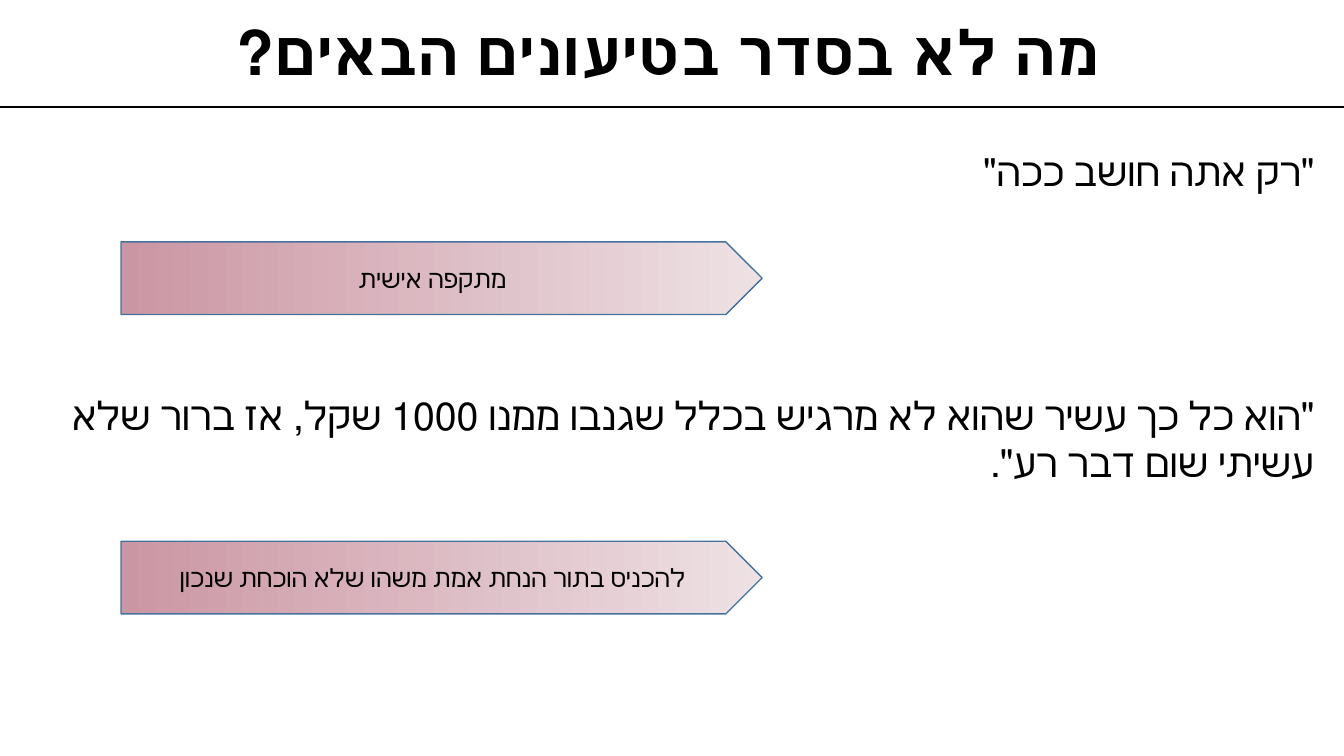
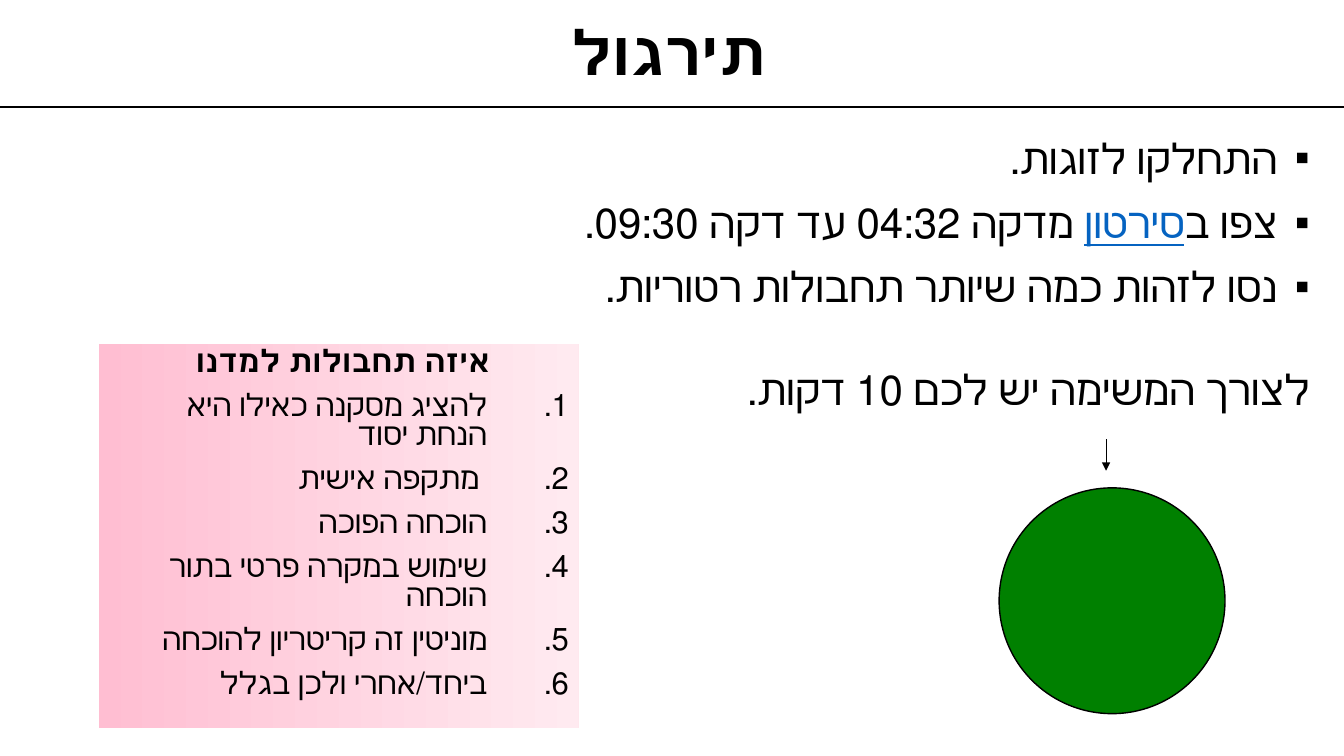
"""Build two Hebrew slides on faulty arguments: examples and an exercise."""
from lxml.etree import SubElement
from pptx import Presentation
from pptx.dml.color import RGBColor
from pptx.enum.shapes import MSO_CONNECTOR, MSO_SHAPE
from pptx.enum.text import MSO_ANCHOR, MSO_AUTO_SIZE, PP_ALIGN
from pptx.oxml.ns import qn
from pptx.util import Inches, Pt

BLACK = RGBColor(0x00, 0x00, 0x00)
LINK = RGBColor(0x05, 0x63, 0xC1)
GREEN = RGBColor(0x00, 0x80, 0x00)
EDGE = RGBColor(0x43, 0x73, 0x9E)
ROSE = RGBColor(0xCB, 0x96, 0xA4), RGBColor(0xEE, 0xE1, 0xE4)
PINK = RGBColor(0xFF, 0xBE, 0xD2), RGBColor(0xFF, 0xEA, 0xF0)
FONT = "Lato"


def write(frame, text, size=30, bold=False, align=PP_ALIGN.RIGHT, before=10,
          spacing=None, indent=0, bullet=None):
    """Add a right-to-left paragraph; every second part between bars is link-styled."""
    para = frame.paragraphs[-1]
    if para.runs:
        para = frame.add_paragraph()
    para.alignment = align
    para.space_before = Pt(before)
    para.line_spacing = spacing
    props = para._p.get_or_add_pPr()
    props.set("rtl", "1")
    if bullet:
        props.set("marL", str(Inches(indent)))
        props.set("indent", str(-Inches(indent)))
        SubElement(props, qn("a:buFont"), typeface="Arial")
        if bullet == "1.":
            SubElement(props, qn("a:buAutoNum"), type="arabicPeriod")
        else:
            SubElement(props, qn("a:buChar"), char=bullet)
    for index, part in enumerate(text.split("|")):
        run = para.add_run()
        run.text = part
        font = run.font
        font.size, font.bold, font.name = Pt(size), bold, FONT
        font.color.rgb = BLACK
        if index % 2:
            font.color.rgb = LINK
            font.underline = True


def style(shape, fill=None, line=None, width=1):
    """Set a shape's fill (one colour or a gradient pair) and outline."""
    if isinstance(fill, RGBColor):
        shape.fill.solid()
        shape.fill.fore_color.rgb = fill
    elif fill:
        shape.fill.gradient()
        shape.fill.gradient_angle = 0
        for stop, color in zip(shape.fill.gradient_stops, fill):
            stop.color.rgb = color
    if line is None:
        shape.line.fill.background()
    else:
        shape.line.color.rgb = line
        shape.line.width = Pt(width)
    SubElement(shape._element.spPr, qn("a:effectLst"))


deck = Presentation()
deck.slide_width, deck.slide_height = Inches(13.33), Inches(7.5)
master = deck.slide_master
head = master.placeholders[0]
head.left, head.top = Inches(0), Inches(0.04)
head.width, head.height = Inches(13.26), Inches(1.02)

slides = []
for title, layout in (("מה לא בסדר בטיעונים הבאים?", 5), ("תירגול", 1)):
    slide = deck.slides.add_slide(deck.slide_layouts[layout])
    frame = slide.shapes.title.text_frame
    frame.auto_size = MSO_AUTO_SIZE.NONE
    frame.vertical_anchor = MSO_ANCHOR.MIDDLE
    write(frame, title, size=44, bold=True, align=PP_ALIGN.CENTER, before=0, spacing=0.9)
    slides.append(slide)
claims, task = slides

rule = claims.shapes.add_connector(
    MSO_CONNECTOR.STRAIGHT, Inches(-0.05), Inches(1.06), Inches(13.38), Inches(1.06))
style(rule, line=BLACK)
rule._element.nvCxnSpPr.cNvPr.id = 20
master.shapes.element.append(rule._element)

quotes = claims.shapes.add_textbox(
    Inches(0.21), Inches(1.41), Inches(12.92), Inches(5.4)).text_frame
quotes.word_wrap = True
write(quotes, '"רק אתה חושב ככה" ', size=28)
write(quotes, '"הוא כל כך עשיר שהוא לא מרגיש בכלל שגנבו ממנו 1000 שקל, '
      'אז ברור שלא עשיתי שום דבר רע".', size=28, before=141)

for top, text in ((5.37, "להכניס בתור הנחת אמת משהו שלא הוכחת שנכון"),
                  (2.4, "מתקפה אישית")):
    arrow = claims.shapes.add_shape(
        MSO_SHAPE.PENTAGON, Inches(1.2), Inches(top), Inches(6.36), Inches(0.72))
    style(arrow, ROSE, EDGE)
    write(arrow.text_frame, text, size=18, align=PP_ALIGN.CENTER, before=0)

body = task.placeholders[1]
body.left, body.top = Inches(0.17), Inches(1.26)
body.width, body.height = Inches(12.92), Inches(6.09)
body.text_frame.auto_size = MSO_AUTO_SIZE.NONE
for text in ("התחלקו לזוגות.",
             "צפו ב|סירטון| מדקה 04:32 עד דקה 09:30. ",
             "נסו לזהות כמה שיותר תחבולות רטוריות."):
    write(body.text_frame, text, indent=0.32, bullet="▪")

time = task.shapes.add_textbox(
    Inches(6.53), Inches(3.56), Inches(6.56), Inches(0.7)).text_frame
time.word_wrap = True
write(time, "לצורך המשימה יש לכם 10 דקות.")

panel = task.shapes.add_shape(
    MSO_SHAPE.RECTANGLE, Inches(0.98), Inches(3.41), Inches(4.76), Inches(3.81))
style(panel, PINK)
tricks = panel.text_frame
tricks.vertical_anchor = MSO_ANCHOR.TOP
write(tricks, "איזה תחבולות למדנו ", size=22.1, bold=True, align=PP_ALIGN.CENTER, spacing=0.8)
for text in ("להציג מסקנה כאילו היא הנחת יסוד",
             " מתקפה אישית",
             "הוכחה הפוכה",
             "שימוש במקרה פרטי בתור הוכחה",
             "מוניטין זה קריטריון להוכחה",
             "ביחד/אחרי ולכן בגלל"):
    write(tricks, text, size=22.1, spacing=0.8, indent=0.81, bullet="1.")

clock = task.shapes.add_shape(
    MSO_SHAPE.OVAL, Inches(9.91), Inches(4.84), Inches(2.24), Inches(2.24))
style(clock, GREEN, BLACK)

hint = task.shapes.add_connector(
    MSO_CONNECTOR.STRAIGHT, Inches(10.97), Inches(4.36), Inches(10.97), Inches(4.67))
style(hint, line=BLACK, width=0.5)
SubElement(hint.line._get_or_add_ln(), qn("a:tailEnd"), type="triangle")

deck.save("out.pptx")
